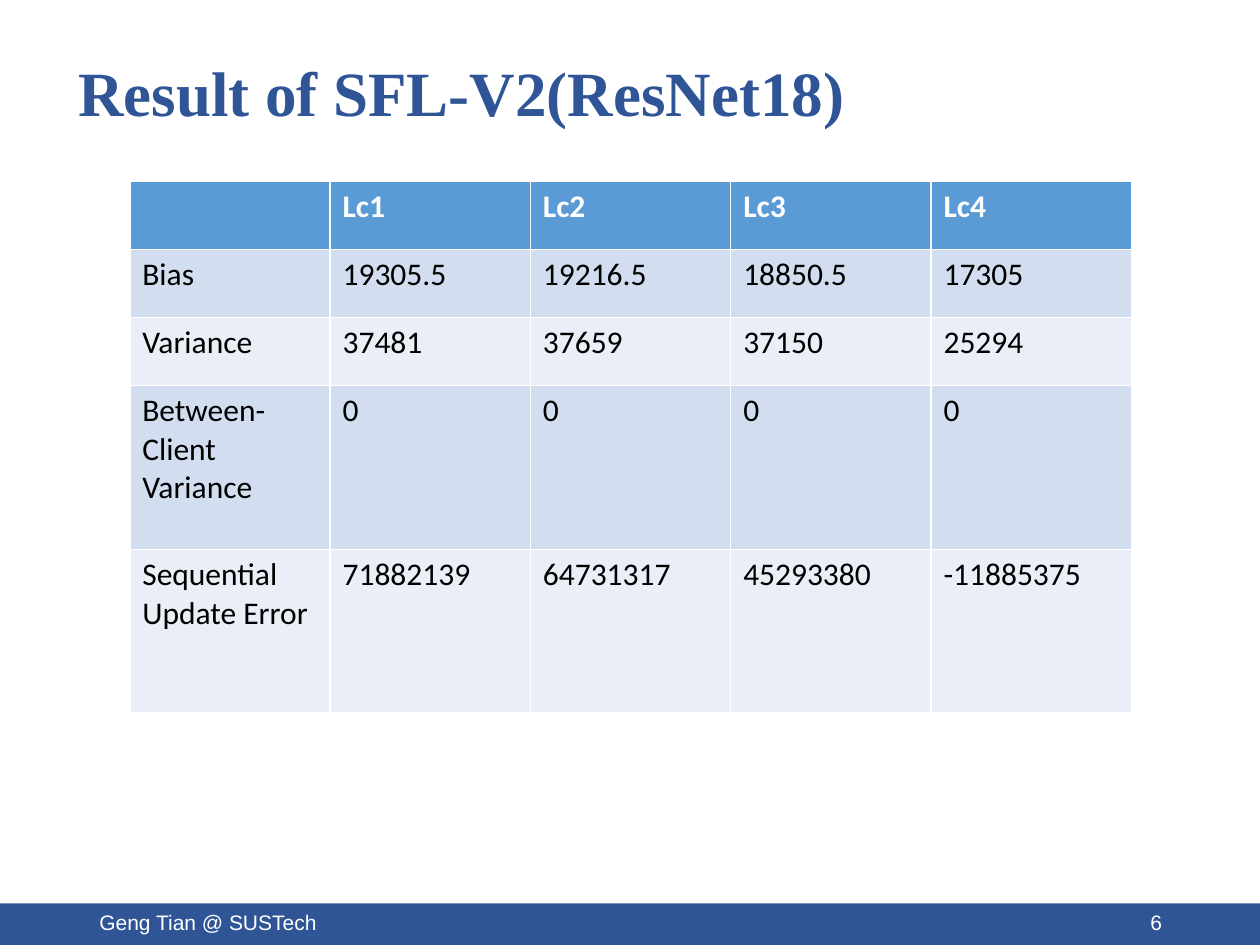
import pptx
import pptx.util
import pptx.dml.color
import pptx.enum.shapes
import pptx.enum.text

Inches = pptx.util.Inches
Pt = pptx.util.Pt
RGBColor = pptx.dml.color.RGBColor
Align = pptx.enum.text.PP_ALIGN
Anchor = pptx.enum.text.MSO_ANCHOR

NAVY = RGBColor(0x2F, 0x55, 0x97)
BLUE = RGBColor(0x5B, 0x9B, 0xD5)
BANDS = (RGBColor(0xD2, 0xDE, 0xEF), RGBColor(0xEA, 0xEF, 0xF7))
WHITE = RGBColor(0xFF, 0xFF, 0xFF)
BLACK = RGBColor(0, 0, 0)

TITLE_FONT = {"name": "Times New Roman", "size": Pt(36), "bold": True}
FOOTER_FONT = {"name": "Arial", "size": Pt(12)}
HEADER_FONT = {"name": "Calibri", "size": Pt(18), "bold": True}
BODY_FONT = {"name": "Calibri", "size": Pt(18), "bold": False}

RESULTS = [
    ["", "Lc1", "Lc2", "Lc3", "Lc4"],
    ["Bias", "19305.5", "19216.5", "18850.5", "17305"],
    ["Variance", "37481", "37659", "37150", "25294"],
    ["Between-Client Variance", "0", "0", "0", "0"],
    ["Sequential Update Error", "71882139", "64731317", "45293380", "-11885375"],
]
ROW_HEIGHTS = [0.54, 0.54, 0.54, 1.3, 1.3]


def write_text(frame, text, font, color, align=Align.LEFT):
    frame.word_wrap = True
    para = frame.paragraphs[0]
    para.alignment = align
    span = para.add_run()
    span.text = text
    for key, value in font.items():
        setattr(span.font, key, value)
    span.font.color.rgb = color
    return para


def add_title(page, left, top, width, height):
    title = page.shapes.title
    title.left, title.top = Inches(left), Inches(top)
    title.width, title.height = Inches(width), Inches(height)
    title.text_frame.vertical_anchor = Anchor.MIDDLE
    para = write_text(title.text_frame, "Result of SFL-V2(ResNet18)", TITLE_FONT, NAVY)
    para.line_spacing = 0.9


def add_results(page, left, top, width):
    frame = page.shapes.add_table(
        len(RESULTS), len(RESULTS[0]),
        Inches(left), Inches(top), Inches(width), Inches(sum(ROW_HEIGHTS)),
    )
    table = frame.table
    for row, height in zip(table.rows, ROW_HEIGHTS):
        row.height = Inches(height)
    for i, values in enumerate(RESULTS):
        fill, font, color = (
            (BLUE, HEADER_FONT, WHITE) if i == 0
            else (BANDS[(i - 1) % 2], BODY_FONT, BLACK)
        )
        for j, value in enumerate(values):
            cell = table.cell(i, j)
            cell.fill.solid()
            cell.fill.fore_color.rgb = fill
            if value:
                write_text(cell.text_frame, value, font, color)


def add_footer(page, left, top, width, height):
    bar = page.shapes.add_shape(
        pptx.enum.shapes.MSO_SHAPE.RECTANGLE,
        Inches(left), Inches(top), Inches(width), Inches(height),
    )
    bar.shadow.inherit = False
    bar.fill.solid()
    bar.fill.fore_color.rgb = NAVY
    bar.line.fill.background()

    margin, label_width = 0.7, 2.25
    labels = [
        (left + margin, "Geng Tian @ SUSTech", Align.LEFT),
        (left + width - margin - label_width, "6", Align.RIGHT),
    ]
    for label_left, text, align in labels:
        box = page.shapes.add_textbox(
            Inches(label_left), Inches(top - 0.05), Inches(label_width), Inches(0.4)
        )
        box.text_frame.vertical_anchor = Anchor.MIDDLE
        write_text(box.text_frame, text, FOOTER_FONT, WHITE, align)


def main():
    deck = pptx.Presentation()
    deck.slide_width, deck.slide_height = Inches(10), Inches(7.5)
    page = deck.slides.add_slide(deck.slide_layouts.get_by_name("Title Only"))
    add_footer(page, -0.01, 7.17, 10.03, 0.33)
    add_title(page, 0.52, 0.27, 8.62, 0.98)
    add_results(page, 1.03, 1.44, 7.95)
    deck.save("out.pptx")


if __name__ == "__main__":
    main()
